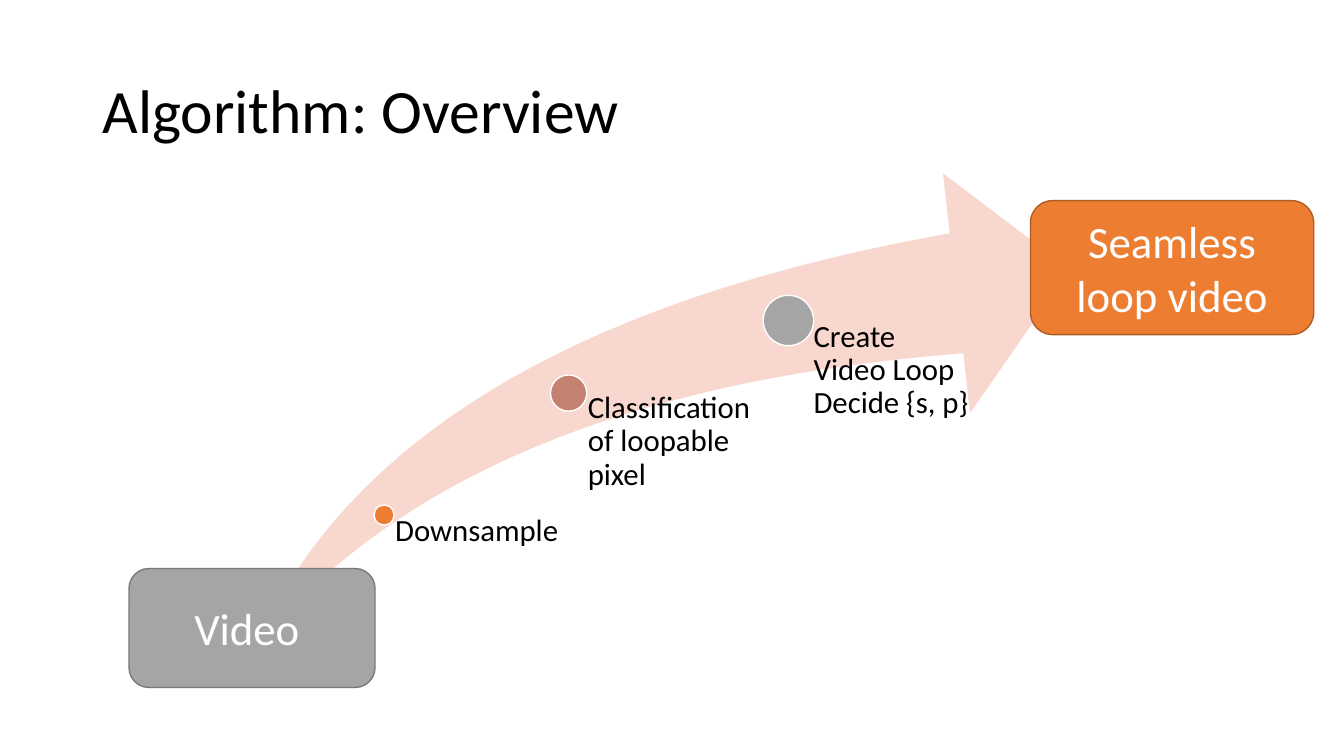
from pptx import Presentation
from pptx.dml.color import RGBColor
from pptx.enum import shapes, text
from pptx.util import Inches, Pt

COLORS = {
    "black": "000000",
    "white": "FFFFFF",
    "swoosh": "F8D7CE",
    "orange": "ED7D31",
    "orange_edge": "AF5C24",
    "rose": "C48170",
    "gray": "A5A5A5",
    "gray_edge": "7A7A7A",
}

STEPS = [
    ("Downsample", "orange", (3.71, 5.01, 0.2), (3.81, 5.11, 1.78, 1.38), 0.11),
    ("Classification of loopable pixel", "rose", (5.46, 3.72, 0.36), (5.64, 3.89, 1.83, 2.59), 0.19),
    ("Create Video Loop Decide {s, p}", "gray", (7.57, 2.93, 0.5), (7.81, 3.18, 1.83, 3.31), 0.26),
]


def rgb(name):
    return RGBColor.from_string(COLORS[name])


def add_filled_shape(slide, kind, box, fill, line=None):
    shape = slide.shapes.add_shape(kind, *map(Inches, box))
    shape.shadow.inherit = False
    shape.fill.solid()
    shape.fill.fore_color.rgb = rgb(fill)
    if line:
        shape.line.color.rgb = rgb(line)
        shape.line.width = Pt(1)
    else:
        shape.line.fill.background()
    return shape


def write_text(shape, words, size, color):
    frame = shape.text_frame
    frame.word_wrap = True
    paragraph = frame.paragraphs[0]
    paragraph.text = words
    paragraph.font.name = "Calibri"
    paragraph.font.size = Pt(size)
    paragraph.font.color.rgb = rgb(color)
    return frame, paragraph


def add_label(slide, words, box, size):
    label = slide.shapes.add_textbox(*map(Inches, box))
    frame, paragraph = write_text(label, words, size, "black")
    paragraph.line_spacing = 0.9
    return frame


def add_title(slide, words):
    frame = add_label(slide, words, (0.92, 0.4, 11.5, 1.45), 44)
    frame.vertical_anchor = text.MSO_ANCHOR.MIDDLE


def add_step(slide, words, color, dot, box, inset):
    left, top, diameter = dot
    add_filled_shape(slide, shapes.MSO_SHAPE.OVAL, (left, top, diameter, diameter), color, "white")
    frame = add_label(slide, words, box, 22)
    frame.margin_left = Inches(inset)
    frame.margin_top = frame.margin_right = frame.margin_bottom = 0


def add_endpoint(slide, words, box, fill, line):
    shape = add_filled_shape(slide, shapes.MSO_SHAPE.ROUNDED_RECTANGLE, box, fill, line)
    frame, paragraph = write_text(shape, words, 32, "white")
    frame.vertical_anchor = text.MSO_ANCHOR.MIDDLE
    paragraph.alignment = text.PP_ALIGN.CENTER


def add_swoosh(slide, box):
    swoosh = add_filled_shape(slide, shapes.MSO_SHAPE.SWOOSH_ARROW, box, "swoosh")
    swoosh.adjustments[0] = 0.25
    swoosh.adjustments[1] = 0.25


def main():
    presentation = Presentation()
    presentation.slide_width = Inches(13.33)
    presentation.slide_height = Inches(7.5)
    slide = presentation.slides.add_slide(presentation.slide_layouts[6])

    add_title(slide, "Algorithm: Overview")
    add_swoosh(slide, (2.5, 1.72, 8.11, 4.76))
    for step in STEPS:
        add_step(slide, *step)
    add_endpoint(slide, "Video ", (1.28, 5.64, 2.44, 1.18), "gray", "gray_edge")
    add_endpoint(slide, "Seamless loop video", (10.22, 1.99, 2.81, 1.33), "orange", "orange_edge")

    presentation.save("out.pptx")


if __name__ == "__main__":
    main()
